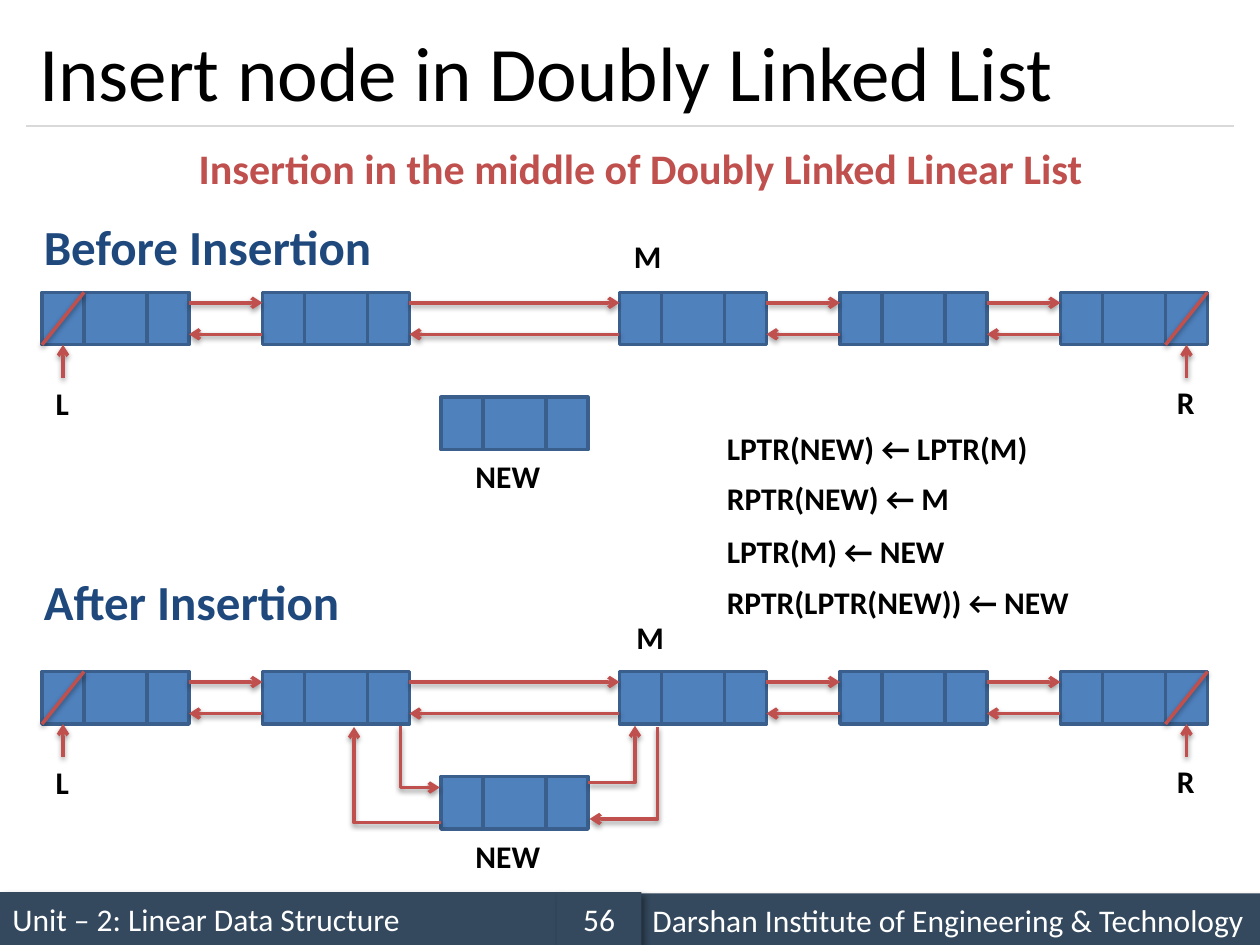
from lxml.etree import SubElement
from pptx import Presentation
from pptx.dml.color import RGBColor
from pptx.enum.shapes import MSO_CONNECTOR, MSO_SHAPE
from pptx.enum.text import MSO_ANCHOR, MSO_AUTO_SIZE, PP_ALIGN
from pptx.oxml.ns import qn
from pptx.util import Inches, Pt

BLACK, WHITE, RED, NAVY = "000000", "FFFFFF", "C0504D", "1F497D"
CELL_FILL, CELL_EDGE, BAR, RULE = "4F81BD", "3A5F8C", "34495E", "D9D9D9"

TITLE = "Insert node in Doubly Linked List"
SUBTITLE = "Insertion in the middle of Doubly Linked Linear List"
FOOTER = [  # text, left, top, width, alignment
    ("Unit – 2: Linear Data Structure", 0, 7.08, 4.42, PP_ALIGN.LEFT),
    ("Darshan Institute of Engineering & Technology", 5.08, 7.09, 4.92, PP_ALIGN.LEFT),
    ("56", 4.42, 7.08, 0.67, PP_ALIGN.CENTER),
]
STAGES = [  # list top; heading (text, top, width); left and top of the M label
    (2.32, ("Before Insertion", 1.67, 2.83), (4.93, 1.83)),
    (5.33, ("After Insertion", 4.49, 2.59), (4.95, 4.86)),
]
STEPS = [  # text, top, width
    ("LPTR(NEW) ← LPTR(M)", 3.36, 2.64),
    ("RPTR(NEW) ← M", 3.75, 2.01),
    ("LPTR(M) ← NEW", 4.17, 1.97),
    ("RPTR(LPTR(NEW)) ← NEW", 4.58, 2.97),
]
NEW_LINKS = [  # elbow arrows around the new node
    [(4.67, 6.21), (5.04, 6.21), (5.04, 5.76)],
    [(5.22, 5.77), (5.22, 6.5), (4.68, 6.5)],
    [(3.18, 5.76), (3.18, 6.25), (3.49, 6.25)],
    [(3.5, 6.53), (2.81, 6.53), (2.81, 5.77)],
]

UNIT = 1 / 12  # grid step in inches
NODE_COLUMNS = [4, 25, 59, 80, 101]
NEW_COLUMN, NEW_DROP = 42, 10
POINTER, INFO, NODE_ROWS = 4, 6, 5
NODE_WIDTH = (POINTER * 2 + INFO) * UNIT
NODE_HEIGHT = NODE_ROWS * UNIT

# opacity %, blur pt, distance pt, direction degrees
LINE_SHADOW = (38, 3.1, 1.6, 90)
BAR_SHADOW = (40, 4, 3, 45)


def color(value):
    return RGBColor.from_string(value)


def add_shadow(shape, settings=None):
    """Add an effect list after fill and line; it stays empty without settings."""
    effects = SubElement(shape._element.spPr, qn("a:effectLst"))
    if settings:
        opacity, blur, distance, direction = settings
        outer = SubElement(effects, qn("a:outerShdw"), blurRad=str(Pt(blur)),
                           dist=str(Pt(distance)), dir=str(direction * 60000),
                           rotWithShape="0")
        black = SubElement(outer, qn("a:srgbClr"), val=BLACK)
        SubElement(black, qn("a:alpha"), val=str(opacity * 1000))


def style_line(shape, hue=RED, width=2, arrow=True, shadow=LINE_SHADOW):
    shape.line.color.rgb = color(hue)
    shape.line.width = Pt(width)
    if arrow:
        SubElement(shape.line._get_or_add_ln(), qn("a:tailEnd"), type="arrow")
    add_shadow(shape, shadow)


def write(shape, text, size=18, hue=BLACK, bold=False, align=PP_ALIGN.LEFT):
    paragraph = shape.text_frame.paragraphs[0]
    paragraph.text = text
    paragraph.alignment = align
    font = paragraph.font
    font.name, font.size, font.bold = "Calibri", Pt(size), bold
    font.color.rgb = color(hue)


def add_label(page, text, left, top, width, height=0.4, **style):
    box = page.shapes.add_textbox(*map(Inches, (left, top, width, height)))
    box.text_frame.word_wrap = False
    box.text_frame.auto_size = MSO_AUTO_SIZE.SHAPE_TO_FIT_TEXT
    write(box, text, bold=True, **style)


def add_line(page, start, end, **style):
    line = page.shapes.add_connector(MSO_CONNECTOR.STRAIGHT, *map(Inches, (*start, *end)))
    style_line(line, **style)
    return line


def add_node(page, column, top):
    """Group left pointer, info and right pointer cells; return the cells."""
    group = page.shapes.add_group_shape()
    cells = []
    for columns in (POINTER, INFO, POINTER):
        cell = group.shapes.add_shape(
            MSO_SHAPE.RECTANGLE, Inches(column * UNIT), Inches(top),
            Inches(columns * UNIT), Inches(NODE_HEIGHT))
        cell.fill.solid()
        cell.fill.fore_color.rgb = color(CELL_FILL)
        cell.line.color.rgb = color(CELL_EDGE)
        cell.line.width = Pt(2)
        cell.shadow.inherit = False
        cells.append(cell)
        column += columns
    return cells


def add_end_pointer(page, cell, text, label_left, label_top, label_width):
    """Strike out the null pointer of an end cell and point at it from a label."""
    left, top = cell.left.inches, cell.top.inches
    right, bottom = left + cell.width.inches, top + NODE_HEIGHT
    add_line(page, (left, bottom), (right, top), arrow=False)
    middle = (left + right) / 2
    pointer = add_line(page, (middle, bottom + 0.26), (middle, bottom))
    pointer.end_connect(cell, 2)
    add_label(page, text, label_left, label_top, label_width, align=PP_ALIGN.CENTER)


def add_stage(page, top, heading, marker):
    nodes = [add_node(page, column, top) for column in NODE_COLUMNS]
    for column, following in zip(NODE_COLUMNS, NODE_COLUMNS[1:]):
        start, end = column * UNIT + NODE_WIDTH, following * UNIT
        forward, back = top + UNIT, top + 4 * UNIT
        add_line(page, (start, forward), (end, forward))
        add_line(page, (end, back), (start, back))
    add_end_pointer(page, nodes[0][0], "L", 0.34, top + 0.68, 0.31)
    add_end_pointer(page, nodes[-1][-1], "R", 9.24, top + 0.67, 0.34)
    add_node(page, NEW_COLUMN, top + NEW_DROP * UNIT)
    add_label(page, "NEW", 3.67, top + 1.26, 0.72, align=PP_ALIGN.CENTER)
    add_label(page, "M", *marker, 0.42, align=PP_ALIGN.CENTER)
    text, heading_top, width = heading
    add_label(page, text, 0.25, heading_top, width, 0.57, size=28, hue=NAVY)


def add_elbow(page, points):
    corners = [(Inches(x), Inches(y)) for x, y in points]
    builder = page.shapes.build_freeform(*corners[0])
    builder.add_line_segments(corners[1:], close=False)
    elbow = builder.convert_to_shape()
    elbow.fill.background()
    style_line(elbow)


def add_footer(page):
    for text, left, top, width, align in FOOTER:
        bar = page.shapes.add_shape(MSO_SHAPE.RECTANGLE,
                                    *map(Inches, (left, top, width, 0.42)))
        bar.fill.solid()
        bar.fill.fore_color.rgb = color(BAR)
        bar.line.fill.background()
        add_shadow(bar, BAR_SHADOW)
        bar.text_frame.vertical_anchor = MSO_ANCHOR.MIDDLE
        write(bar, text, hue=WHITE, align=align)


def add_title(page):
    title = page.shapes.title
    title.left, title.top, title.width, title.height = map(Inches, (0.21, 0.12, 9.58, 0.88))
    title.text_frame.vertical_anchor = MSO_ANCHOR.MIDDLE
    title.text_frame.auto_size = MSO_AUTO_SIZE.NONE
    write(title, TITLE, size=44)


def main():
    deck = Presentation()
    deck.slide_width, deck.slide_height = Inches(10), Inches(7.5)
    page = deck.slides.add_slide(deck.slide_layouts[5])
    add_footer(page)
    add_line(page, (0.21, 1), (9.79, 1), hue=RULE, width=0.75, arrow=False, shadow=None)
    add_title(page)
    add_label(page, SUBTITLE, 1.44, 1.08, 7.29, 0.5, size=24, hue=RED, align=PP_ALIGN.CENTER)
    for stage in STAGES:
        add_stage(page, *stage)
    for text, top, width in STEPS:
        add_label(page, text, 5.67, top, width)
    for points in NEW_LINKS:
        add_elbow(page, points)
    deck.save("out.pptx")


if __name__ == "__main__":
    main()
